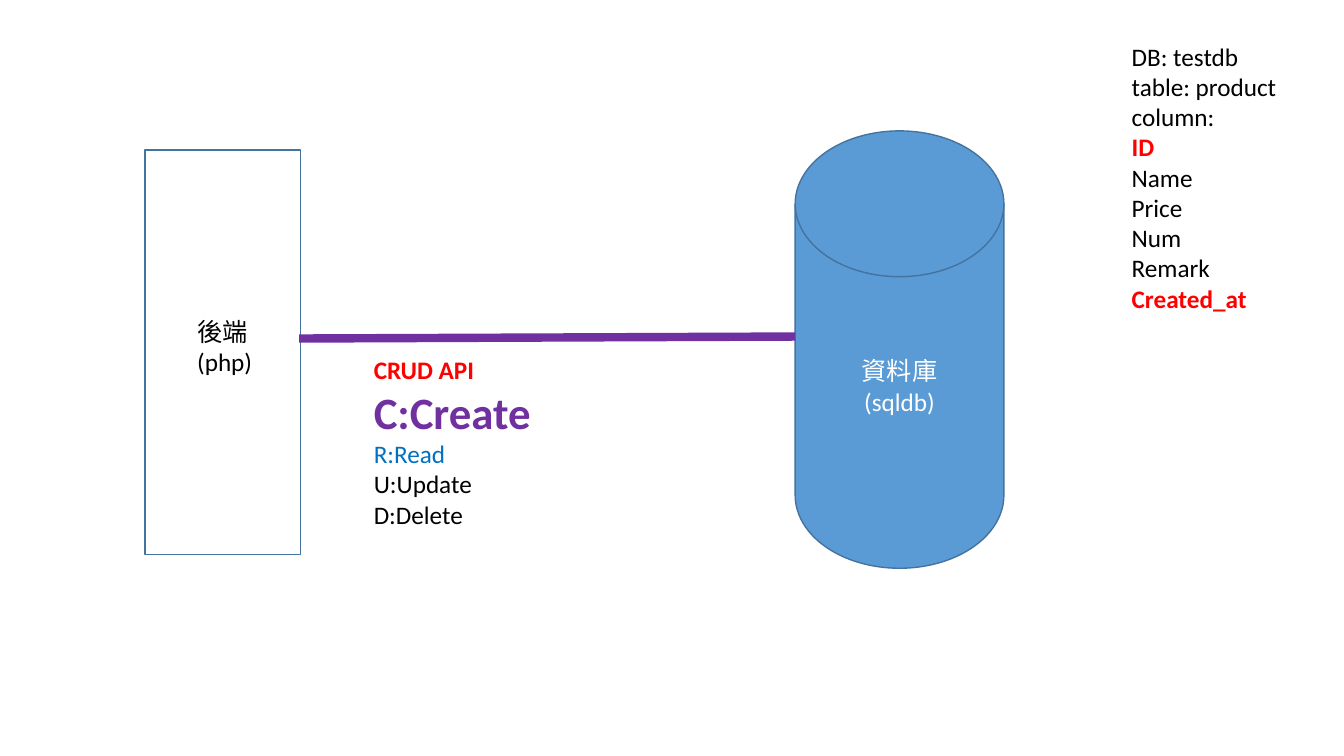
from pptx import Presentation
from pptx import util as u
from pptx.dml.color import RGBColor
from pptx.enum import shapes, text
from pptx.oxml.ns import qn
from lxml import etree

COLORS = {
    "black": "000000",
    "white": "FFFFFF",
    "red": "FF0000",
    "purple": "7030A0",
    "blue": "0070C0",
    "disk": "5B9BD5",
    "outline": "43739E",
}


def rgb(name):
    return RGBColor.from_string(COLORS[name])


def write(frame, words, size=18, color="black", bold=False, align=text.PP_ALIGN.LEFT):
    para = frame.paragraphs[0]
    if para.runs:
        para = frame.add_paragraph()
    para.alignment = align
    span = para.add_run()
    span.text = words
    span.font.name = "Calibri"
    span.font.size = u.Pt(size)
    span.font.bold = bold
    span.font.color.rgb = rgb(color)


deck = Presentation()
deck.slide_width = u.Cm(33.87)
deck.slide_height = u.Cm(19.05)
page = deck.slides.add_slide(deck.slide_layouts[6])

database = page.shapes.add_shape(
    shapes.MSO_SHAPE.FLOWCHART_MAGNETIC_DISK, u.Cm(20.04), u.Cm(3.3), u.Cm(5.26), u.Cm(11.02)
)
database.fill.solid()
database.fill.fore_color.rgb = rgb("disk")
database.text_frame.vertical_anchor = text.MSO_ANCHOR.MIDDLE
for words in ("資料庫", "(sqldb)"):
    write(database.text_frame, words, color="white", align=text.PP_ALIGN.CENTER)

backend = page.shapes.add_shape(
    shapes.MSO_SHAPE.RECTANGLE, u.Cm(3.66), u.Cm(3.78), u.Cm(3.91), u.Cm(10.19)
)
backend.fill.background()

for shape in (database, backend):
    shape.shadow.inherit = False
    shape.line.color.rgb = rgb("outline")
    shape.line.width = u.Pt(1)

link = page.shapes.add_connector(
    shapes.MSO_CONNECTOR.STRAIGHT, u.Cm(7.54), u.Cm(8.53), u.Cm(20.04), u.Cm(8.48)
)
link.line.color.rgb = rgb("purple")
link.line.width = u.Pt(6)
etree.SubElement(link._element.spPr, qn("a:effectLst"))

key = {"color": "red", "bold": True}
labels = [
    ((4.72, 7.85, 1.93, 1.8), [("後端", {}), ("(php)", {})]),
    (
        (9.17, 8.81, 4.52, 4.7),
        [
            ("CRUD API", key),
            ("C:Create", {"size": 32, "color": "purple", "bold": True}),
            ("R:Read", {"color": "blue"}),
            ("U:Update", {}),
            ("D:Delete", {}),
        ],
    ),
    (
        (28.27, 0.91, 4.22, 7.95),
        [
            ("DB: testdb", {}),
            ("table: product", {}),
            ("column:", {}),
            ("ID", key),
            ("Name", {}),
            ("Price", {}),
            ("Num", {}),
            ("Remark", {}),
            ("Created_at", key),
        ],
    ),
]
for place, lines in labels:
    box = page.shapes.add_textbox(*map(u.Cm, place))
    box.text_frame.word_wrap = False
    box.text_frame.auto_size = text.MSO_AUTO_SIZE.SHAPE_TO_FIT_TEXT
    for words, style in lines:
        write(box.text_frame, words, **style)

deck.save("out.pptx")
